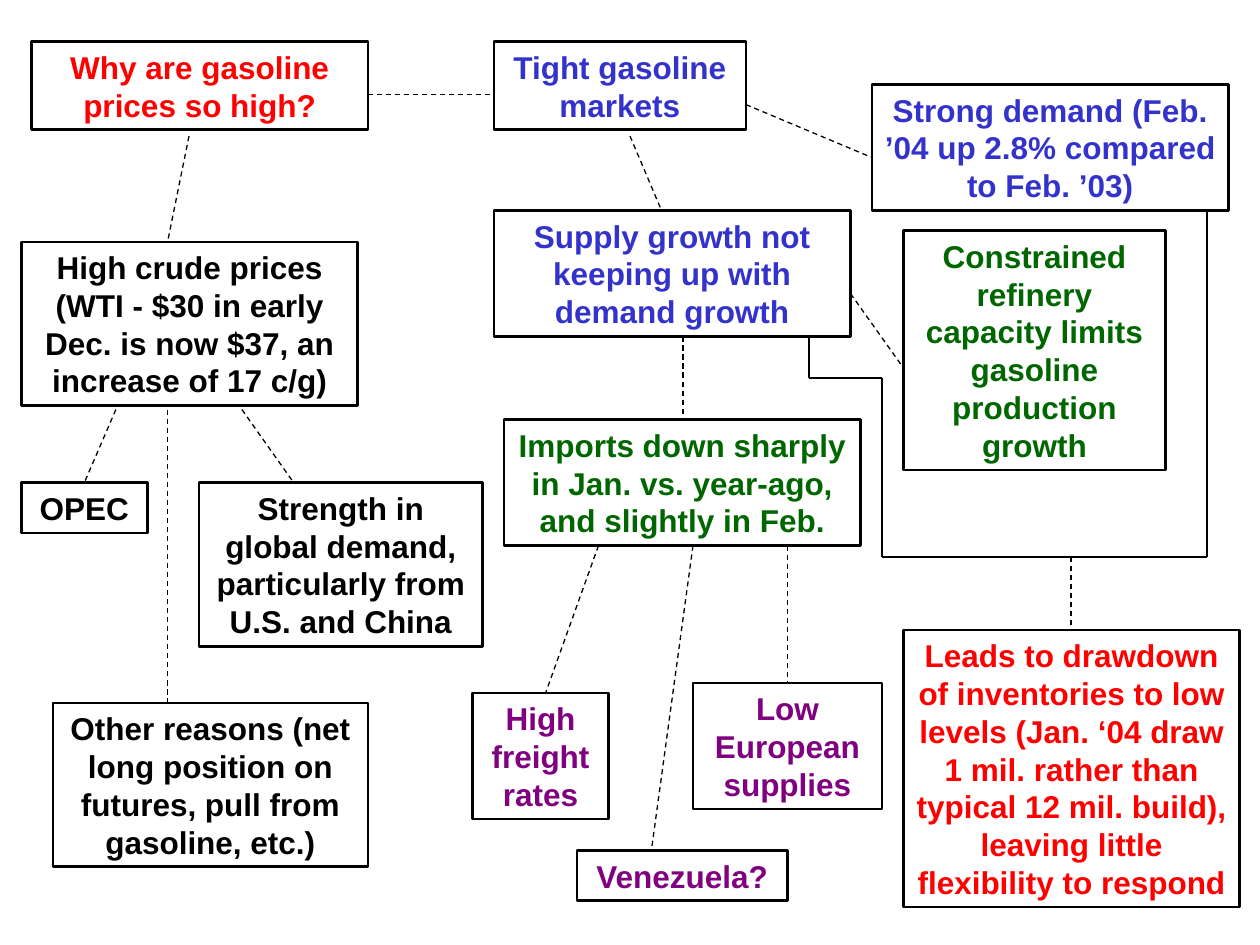
from dataclasses import dataclass
from itertools import pairwise

from lxml import etree
from pptx import Presentation
from pptx.dml.color import RGBColor
from pptx.enum.dml import MSO_LINE
from pptx.enum.shapes import MSO_CONNECTOR, MSO_SHAPE
from pptx.enum.text import MSO_ANCHOR, MSO_AUTO_SIZE, PP_ALIGN
from pptx.oxml.ns import qn
from pptx.util import Inches, Pt

RECTANGLE = MSO_SHAPE.RECTANGLE
STRAIGHT = MSO_CONNECTOR.STRAIGHT
DASH = MSO_LINE.DASH
SOLID = MSO_LINE.SOLID
CENTER = PP_ALIGN.CENTER
TOP = MSO_ANCHOR.TOP
GROW = MSO_AUTO_SIZE.SHAPE_TO_FIT_TEXT


@dataclass(frozen=True)
class Theme:
    font: str = "Arial"
    text_size: Pt = Pt(18)
    border_width: Pt = Pt(1.5)
    link_width: Pt = Pt(0.75)
    black: RGBColor = RGBColor(0, 0, 0)
    white: RGBColor = RGBColor(255, 255, 255)
    red: RGBColor = RGBColor(255, 0, 0)
    blue: RGBColor = RGBColor(0x33, 0x33, 0xCC)
    green: RGBColor = RGBColor(0, 0x66, 0)
    purple: RGBColor = RGBColor(0x80, 0, 0x80)


THEME = Theme()
LINE_HEIGHT = 0.3
BOX_PADDING = 0.1

BOXES = [
    ("Why are gasoline prices so high?", 0.25, 0.33, 2.67, 2, THEME.red),
    ("High crude prices (WTI - $30 in early Dec. is now $37, an increase of 17 c/g)",
     0.17, 1.92, 2.67, 4, THEME.black),
    ("Tight gasoline markets", 3.92, 0.33, 2, 2, THEME.blue),
    ("OPEC", 0.17, 3.83, 1, 1, THEME.black),
    ("Strength in global demand, particularly from U.S. and China",
     1.58, 3.83, 2.25, 4, THEME.black),
    ("Other reasons (net long position on futures, pull from gasoline, etc.)",
     0.42, 5.58, 2.5, 4, THEME.black),
    ("Strong demand (Feb. ’04 up 2.8% compared to Feb. ’03)",
     6.92, 0.67, 2.83, 3, THEME.blue),
    ("Supply growth not keeping up with demand growth",
     3.92, 1.67, 2.83, 3, THEME.blue),
    ("Imports down sharply in Jan. vs. year-ago, and slightly in Feb.",
     4, 3.33, 2.83, 3, THEME.green),
    ("Constrained refinery capacity limits gasoline production growth",
     7.17, 1.83, 2.08, 6, THEME.green),
    ("High freight rates", 3.75, 5.5, 1.08, 3, THEME.purple),
    ("Low European supplies", 5.5, 5.42, 1.5, 3, THEME.purple),
    ("Venezuela?", 4.58, 6.75, 1.67, 1, THEME.purple),
    ("Leads to drawdown of inventories to low levels (Jan. ‘04 draw 1 mil. rather "
     "than typical 12 mil. build), leaving little flexibility to respond",
     7.17, 5, 2.67, 7, THEME.red),
]

DASHED_LINKS = [
    ((1.5, 1.08), (1.33, 1.92)),
    ((2.92, 0.75), (3.92, 0.75)),
    ((0.92, 3.25), (0.67, 3.83)),
    ((1.92, 3.25), (2.33, 3.83)),
    ((1.33, 3.25), (1.33, 5.58)),
    ((5.92, 0.83), (6.92, 1.25)),
    ((5, 1.08), (5.25, 1.67)),
    ((5.42, 2.67), (5.42, 3.33)),
    ((6.75, 2.33), (7.17, 2.92)),
    ((4.75, 4.33), (4.33, 5.5)),
    ((5.5, 4.33), (5.17, 6.75)),
    ((6.25, 4.33), (6.25, 5.42)),
    ((8.5, 4.42), (8.5, 5)),
]

SUPPLY_ROUTE = [(6.42, 2.67), (6.42, 3), (7, 3), (7, 4.42), (8.5, 4.42)]
DEMAND_ROUTE = [(9.58, 1.67), (9.58, 4.42), (8.5, 4.42)]


def apply_format(target, values):
    for name, value in values.items():
        setattr(target, name, value)


def add_box(slide, text, left, top, width, line_count, color):
    height = BOX_PADDING + LINE_HEIGHT * line_count
    shape = slide.shapes.add_shape(
        RECTANGLE, Inches(left), Inches(top), Inches(width), Inches(height))
    shape.shadow.inherit = False
    shape.fill.background()
    shape.line.color.rgb = THEME.black
    shape.line.width = THEME.border_width
    frame = shape.text_frame
    apply_format(frame, {"word_wrap": True, "auto_size": GROW, "vertical_anchor": TOP})
    paragraph = frame.paragraphs[0]
    paragraph.text = text
    paragraph.alignment = CENTER
    apply_format(paragraph.font, {"name": THEME.font, "size": THEME.text_size, "bold": True})
    paragraph.font.color.rgb = color


def add_link(slide, start, end, dash_style):
    connector = slide.shapes.add_connector(
        STRAIGHT, *(Inches(value) for value in (*start, *end)))
    connector.line.color.rgb = THEME.black
    apply_format(connector.line, {"width": THEME.link_width, "dash_style": dash_style})
    etree.SubElement(connector._element.spPr, qn("a:effectLst"))


def add_route(slide, points):
    for start, end in pairwise(points):
        add_link(slide, start, end, SOLID)


def main():
    presentation = Presentation()
    apply_format(presentation, {"slide_width": Inches(10), "slide_height": Inches(7.5)})
    slide = presentation.slides.add_slide(presentation.slide_layouts[6])
    slide.background.fill.solid()
    slide.background.fill.fore_color.rgb = THEME.white
    for box in BOXES:
        add_box(slide, *box)
    for start, end in DASHED_LINKS:
        add_link(slide, start, end, DASH)
    for route in (SUPPLY_ROUTE, DEMAND_ROUTE):
        add_route(slide, route)
    presentation.save("out.pptx")


if __name__ == "__main__":
    main()
